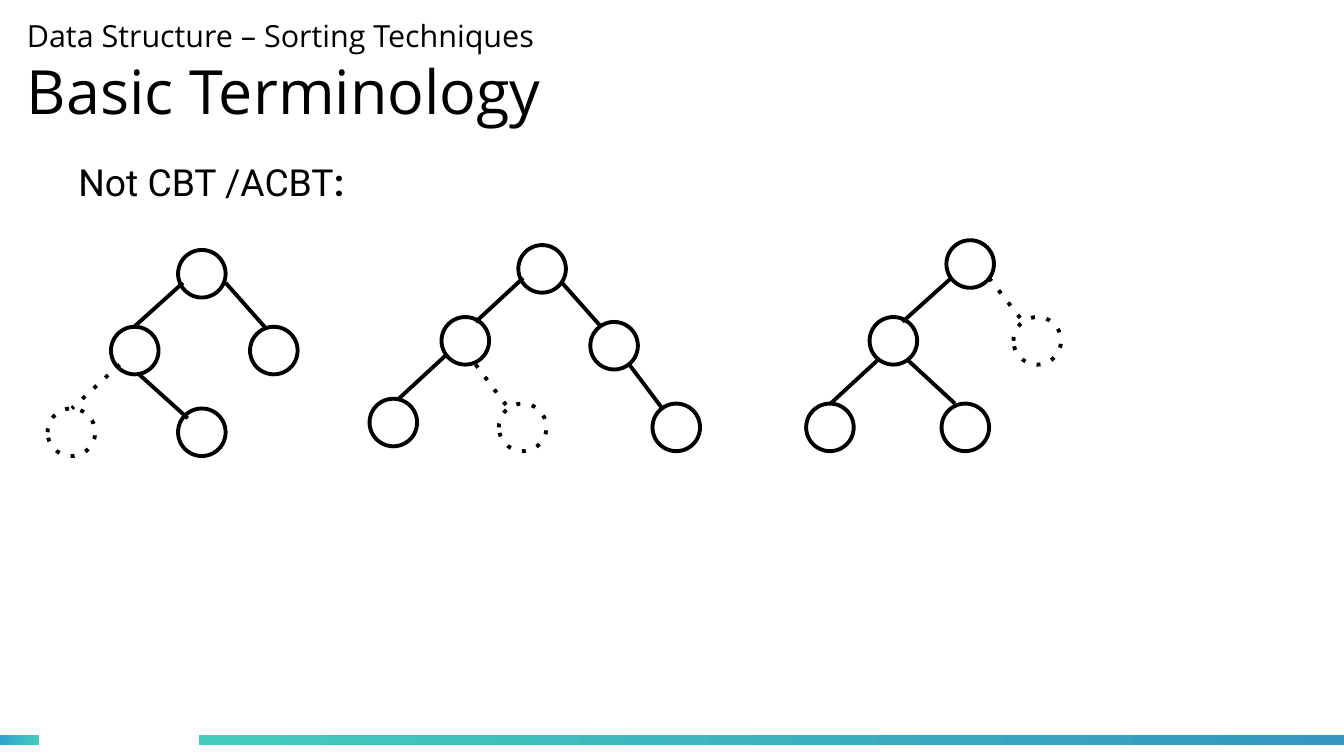
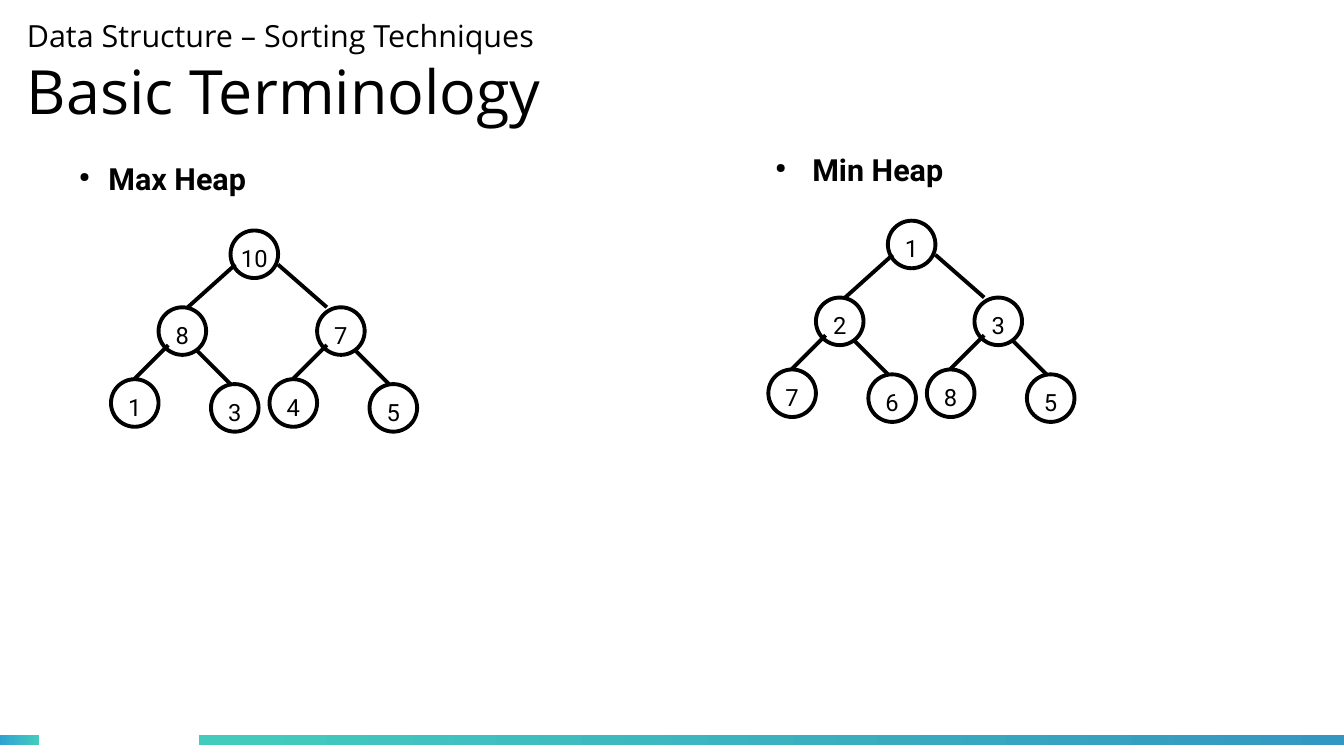
from lxml import etree
from pptx import Presentation
from pptx.dml.color import RGBColor
from pptx.enum import dml, shapes, text
from pptx.oxml.ns import qn
from pptx.util import Inches, Pt

WIDTH, HEIGHT = 11.02, 6.2
INK, PAPER = "000000", "FFFFFF"
TEAL, SKY, BLUE = "43CCBD", "30A2D2", "3497C1"
HEAD, BODY = "Open Sans", "Roboto"
NODE = 0.39
STROKE = 2.3

# Each tree: nodes as (x, y, label), edges as (x1, y1, x2, y2), inside its box.
LEFT_GAP = dict(
    nodes=[(1.07, 0, ""), (0.52, 0.63, ""), (1.66, 0.63, ""), (1.07, 1.3, "")],
    edges=[(1.46, 0.27, 1.78, 0.63), (1.11, 0.27, 0.71, 0.63),
           (0.75, 1.02, 1.15, 1.38)],
    gap=(0, 1.3, ""), stub=(0.59, 0.94, 0.2, 1.3))
INNER_GAP = dict(
    nodes=[(1.22, 0, ""), (0.59, 0.59, ""), (1.81, 0.63, ""),
           (0, 1.26, ""), (2.32, 1.3, "")],
    edges=[(1.26, 0.27, 0.87, 0.63), (1.57, 0.3, 1.89, 0.66),
           (0.63, 0.9, 0.24, 1.26), (2.13, 0.98, 2.4, 1.34)],
    gap=(1.06, 1.3, ""), stub=(0.87, 0.98, 1.14, 1.34))
RIGHT_GAP = dict(
    nodes=[(1.15, 0, ""), (0.52, 0.63, ""), (0, 1.34, ""), (1.11, 1.34, "")],
    edges=[(1.19, 0.31, 0.79, 0.67), (0.59, 0.98, 0.2, 1.34),
           (0.83, 0.98, 1.22, 1.34)],
    gap=(1.7, 0.63, ""), stub=(1.5, 0.31, 1.78, 0.67))


def color(code):
    return RGBColor.from_string(code)


def add_run(para, words, size, font, bold=False):
    run = para.add_run()
    run.text = words
    run.font.size = Pt(size)
    run.font.name = font
    run.font.bold = bold
    run.font.color.rgb = color(INK)


def add_band(slide, x, width, start, end):
    band = slide.shapes.add_shape(
        shapes.MSO_SHAPE.RECTANGLE, Inches(x), Inches(6.03),
        Inches(width), Inches(0.08))
    band.shadow.inherit = False
    band.line.fill.background()
    band.fill.gradient()
    band.fill.gradient_angle = 0
    for stop, code in zip(band.fill.gradient_stops, (start, end)):
        stop.color.rgb = color(code)


def add_title(slide):
    title = slide.shapes.title
    title.left, title.top = Inches(0.22), Inches(0.08)
    title.width, title.height = Inches(7.68), Inches(1.02)
    frame = title.text_frame
    frame.margin_left = frame.margin_right = 0
    frame.margin_top = frame.margin_bottom = 0
    frame.vertical_anchor = text.MSO_ANCHOR.MIDDLE
    frame.auto_size = text.MSO_AUTO_SIZE.SHAPE_TO_FIT_TEXT
    para = frame.paragraphs[0]
    para.alignment = text.PP_ALIGN.LEFT
    add_run(para, "Data Structure – Sorting Techniques", 18, HEAD)
    para.add_line_break()
    etree.SubElement(para._p[-1], qn("a:rPr"), sz="1800")
    add_run(para, "Basic Terminology", 36, HEAD)


def add_page(deck):
    """Add a slide with the shared bands and title."""
    slide = deck.slides.add_slide(deck.slide_layouts[5])
    add_band(slide, 0, 0.32, SKY, TEAL)
    add_band(slide, 1.63, WIDTH - 1.63, TEAL, BLUE)
    add_title(slide)
    return slide


def add_text(slide, x, y, width, height):
    """Add a text box and return its first paragraph."""
    box = slide.shapes.add_textbox(
        Inches(x), Inches(y), Inches(width), Inches(height))
    box.text_frame.word_wrap = True
    box.text_frame.auto_size = text.MSO_AUTO_SIZE.SHAPE_TO_FIT_TEXT
    return box.text_frame.paragraphs[0]


def add_bullet(para):
    props = para._p.get_or_add_pPr()
    indent = Inches(0.24)
    props.set("marL", str(indent))
    props.set("indent", str(-indent))
    tint = etree.SubElement(props, qn("a:buClr"))
    etree.SubElement(tint, qn("a:srgbClr"), val=INK)
    etree.SubElement(props, qn("a:buSzPct"), val="45000")
    etree.SubElement(props, qn("a:buChar"), char="●")


def set_line(line, dotted):
    line.color.rgb = color(INK)
    line.width = Pt(STROKE)
    if dotted:
        line.dash_style = dml.MSO_LINE.ROUND_DOT
        line._ln.find(qn("a:prstDash")).set("val", "dot")


def add_node(group, x, y, label, dotted=False):
    node = group.shapes.add_shape(
        shapes.MSO_SHAPE.OVAL, Inches(x), Inches(y), Inches(NODE), Inches(NODE))
    node.shadow.inherit = False
    node.fill.solid()
    node.fill.fore_color.rgb = color(PAPER)
    set_line(node.line, dotted)
    if label:
        frame = node.text_frame
        frame.word_wrap = False
        frame.margin_left = frame.margin_right = frame.margin_bottom = 0
        frame.margin_top = Inches(0.06)
        frame.vertical_anchor = text.MSO_ANCHOR.MIDDLE
        frame.paragraphs[0].alignment = text.PP_ALIGN.CENTER
        add_run(frame.paragraphs[0], label, 14, BODY)


def add_edge(group, x1, y1, x2, y2, dotted=False):
    edge = group.shapes.add_connector(
        shapes.MSO_CONNECTOR.STRAIGHT,
        Inches(x1), Inches(y1), Inches(x2), Inches(y2))
    set_line(edge.line, dotted)
    etree.SubElement(edge._element.spPr, qn("a:effectLst"))


def add_tree(slide, left, top, nodes, edges, gap=None, stub=None):
    """Draw a tree; gap is a missing node and stub the edge to it."""
    group = slide.shapes.add_group_shape()

    def place_node(node, dotted=False):
        x, y, label = node
        add_node(group, left + x, top + y, label, dotted)

    def place_edge(edge, dotted=False):
        x1, y1, x2, y2 = edge
        add_edge(group, left + x1, top + y1, left + x2, top + y2, dotted)

    for node in nodes:
        place_node(node)
    for edge in edges:
        place_edge(edge)
    if gap:
        place_node(gap, True)
        place_edge(stub, True)


def add_heap(slide, left, top, keys):
    """Draw a full three-level heap from its keys in level order."""
    step = 1.3
    spots = [(0.98, 0), (0.39, 0.63), (0.39 + step, 0.63),
             (0, 1.22), (0.82, 1.26), (step, 1.22), (0.82 + step, 1.26)]
    nodes = [(x, y, key) for (x, y), key in zip(spots, keys)]
    edges = [(1.02, 0.28, 0.63, 0.63), (1.37, 0.28, 1.77, 0.63)]
    for dx in (0, step):
        edges += [(0.47 + dx, 0.94, 0.19 + dx, 1.22),
                  (0.7 + dx, 0.98, 0.98 + dx, 1.26)]
    add_tree(slide, left, top, nodes, edges)


def build_gaps(deck):
    slide = add_page(deck)
    para = add_text(slide, 0.47, 1.26, 3.46, 0.52)
    add_run(para, " Not CBT /ACBT", 22, BODY)
    add_run(para, ":", 22, BODY, bold=True)
    add_tree(slide, 0.39, 2.05, **LEFT_GAP)
    add_tree(slide, 3.03, 2.01, **INNER_GAP)
    add_tree(slide, 6.61, 1.97, **RIGHT_GAP)


def build_heaps(deck):
    slide = add_page(deck)
    for name, x, y, width in (("Max Heap", 0.55, 1.26, 2.28),
                              (" Min Heap", 6.26, 1.19, 1.93)):
        para = add_text(slide, x, y, width, 0.44)
        add_bullet(para)
        add_run(para, name, 18, BODY, bold=True)
    add_heap(slide, 0.91, 1.89, ["10", "8", "7", "1", "3", "4", "5"])
    add_heap(slide, 6.3, 1.81, ["1", "2", "3", "7", "6", "8", "5"])


def main():
    deck = Presentation()
    deck.slide_width, deck.slide_height = Inches(WIDTH), Inches(HEIGHT)
    build_gaps(deck)
    build_heaps(deck)
    deck.save("out.pptx")


if __name__ == "__main__":
    main()
